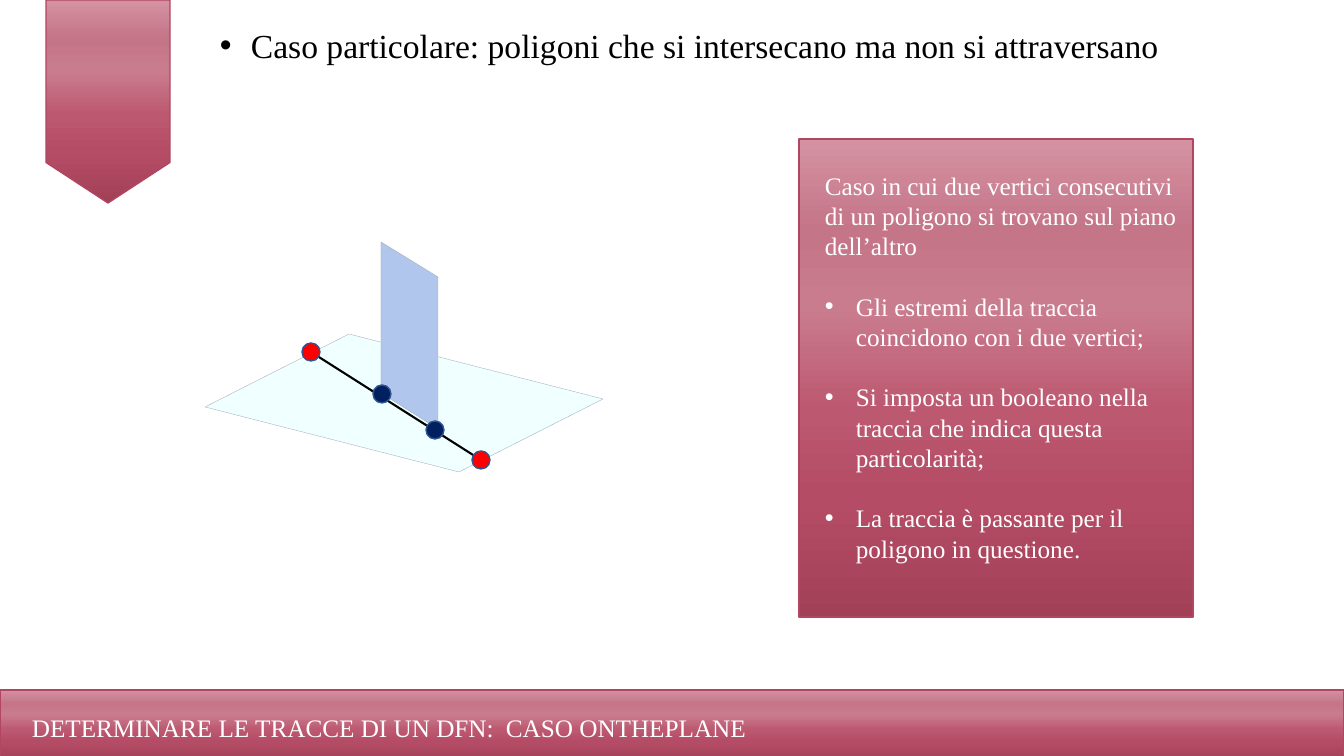
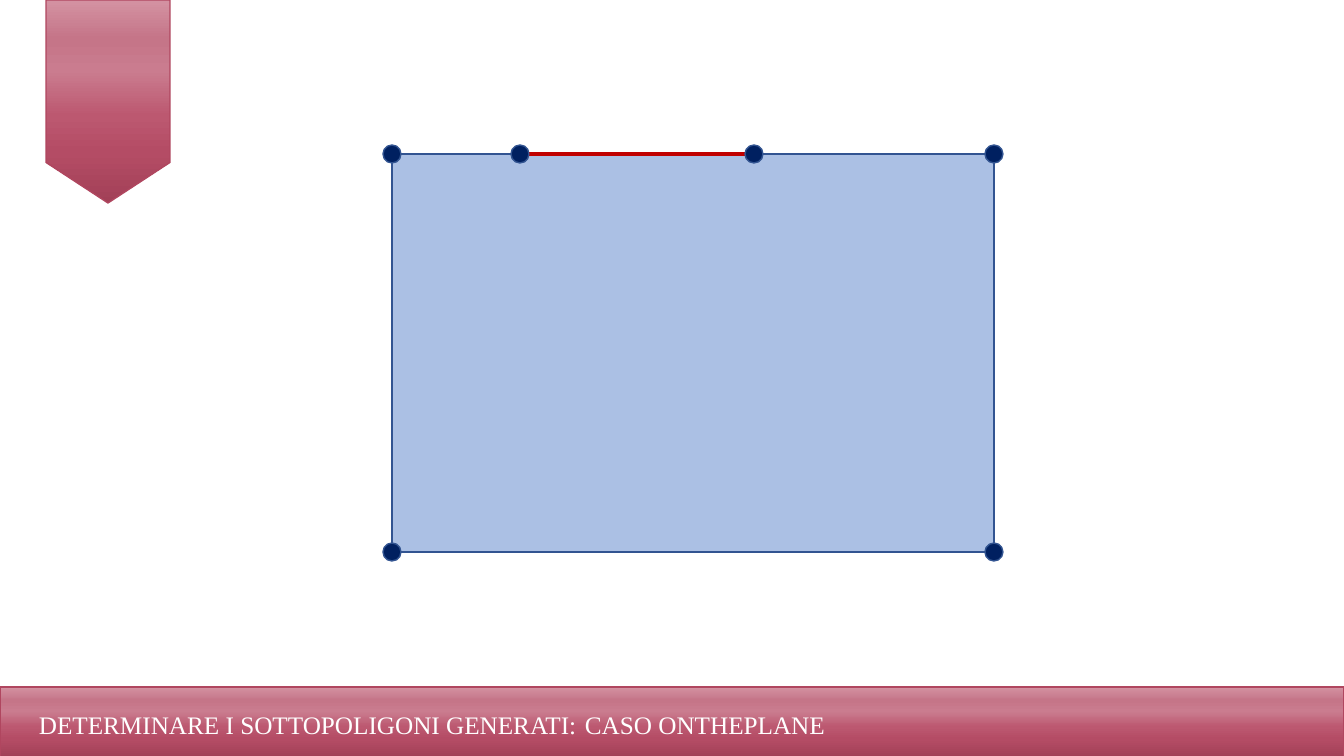
from lxml import etree
from pptx import Presentation
from pptx import util as u
from pptx.dml import color
from pptx.enum import shapes, text
from pptx.oxml import ns

PX = u.Inches(13.33333) / 1344
FONT = "Times New Roman"
WHITE, BLACK = "FFFFFF", "000000"
RED, DARK_RED, NAVY = "FF0000", "C00000", "002060"
BLUE, EDGE, ROSE = "ABC0E4", "325491", "B0465F"
PALE, WALL, HAIRLINE = "F0FFFF", "B1C6EC", "A0B0B8"
ROSE_STOPS = [(0, "A24057"), (25, "B44C65"), (43, "BC5870"),
              (65, "CA7C8F"), (81, "C57588"), (99, "D391A1")]
DOT = 18
INDENT = 31
PANEL_LINE = 21.6


def px(length):
    return u.Emu(round(length * PX))


def rgb(value):
    return color.RGBColor.from_string(value)


def set_line(item, line_color, width):
    item.line.color.rgb = rgb(line_color)
    item.line.width = u.Pt(width)


def add_preset(page, kind, left, top, width, height, line_color=EDGE):
    shape = page.shapes.add_shape(kind, px(left), px(top), px(width), px(height))
    shape.shadow.inherit = False
    set_line(shape, line_color, 1)
    return shape


def fill_solid(shape, fill_color):
    shape.fill.solid()
    shape.fill.fore_color.rgb = rgb(fill_color)


def add_rose(page, kind, left, top, width, height):
    shape = add_preset(page, kind, left, top, width, height, ROSE)
    shape.fill.gradient()
    shape.fill.gradient_angle = 90
    stops = shape.element.spPr.find(".//" + ns.qn("a:gsLst"))
    for old in list(stops):
        stops.remove(old)
    for position, value in ROSE_STOPS:
        stop = etree.SubElement(stops, ns.qn("a:gs"), pos=str(position * 1000))
        etree.SubElement(stop, ns.qn("a:srgbClr"), val=value)


def add_rectangle(page, left, top, width, height, fill_color):
    fill_solid(add_preset(page, shapes.MSO_SHAPE.RECTANGLE, left, top, width, height), fill_color)


def add_dot(page, center, fill_color):
    x, y = center
    dot = add_preset(page, shapes.MSO_SHAPE.OVAL, x - DOT // 2, y - DOT // 2, DOT, DOT)
    fill_solid(dot, fill_color)


def add_polygon(page, points, fill_color):
    corners = [(px(x), px(y)) for x, y in points]
    builder = page.shapes.build_freeform(*corners[0])
    builder.add_line_segments(corners[1:], close=True)
    polygon = builder.convert_to_shape()
    polygon.shadow.inherit = False
    fill_solid(polygon, fill_color)
    set_line(polygon, HAIRLINE, 0.25)


def add_segment(page, start, end, line_color, width):
    segment = page.shapes.add_connector(
        shapes.MSO_CONNECTOR.STRAIGHT, *map(px, start + end))
    set_line(segment, line_color, width)
    etree.SubElement(segment.element.spPr, ns.qn("a:effectLst"))


def add_bullet(para):
    properties = para._p.get_or_add_pPr()
    properties.set("marL", str(px(INDENT)))
    properties.set("indent", str(-px(INDENT)))
    etree.SubElement(properties, ns.qn("a:buFont"), typeface="Arial")
    etree.SubElement(properties, ns.qn("a:buChar"), char="•")


def add_text(page, left, top, width, height, items, size=18, text_color=WHITE, line=None):
    box = page.shapes.add_textbox(px(left), px(top), px(width), px(height))
    frame = box.text_frame
    frame.word_wrap = True
    frame.vertical_anchor = text.MSO_ANCHOR.TOP
    for index, (wording, bulleted) in enumerate(items):
        para = frame.add_paragraph() if index else frame.paragraphs[0]
        if line:
            para.line_spacing = u.Pt(line)
            para.space_before = u.Pt(line if index else 0)
        if bulleted:
            add_bullet(para)
        span = para.add_run()
        span.text = wording
        span.font.name = FONT
        span.font.size = u.Pt(size)
        span.font.color.rgb = rgb(text_color)


def add_page(deck, band_top, heading, heading_left, case_left):
    page = deck.slides.add_slide(deck.slide_layouts[6])
    add_rose(page, shapes.MSO_SHAPE.FLOWCHART_OFFPAGE_CONNECTOR, 46, 0, 124, 203)
    add_rose(page, shapes.MSO_SHAPE.RECTANGLE, 0, band_top, 1344, 70)
    for left, wording, width in ((heading_left, heading, 600),
                                 (case_left, "CASO ONTHEPLANE", 280)):
        add_text(page, left, band_top + 17, width, 40, [(wording, False)])
    return page


def add_traces_page(deck):
    page = add_page(deck, 690, "DETERMINARE LE TRACCE DI UN DFN:", 22, 496)
    add_text(page, 210, 20, 1081, 47,
             [("Caso particolare: poligoni che si intersecano ma non si attraversano", True)],
             24, BLACK)
    add_polygon(page, [(205, 407), (349, 334), (603, 399), (459, 472)], PALE)
    add_polygon(page, [(381, 242), (438, 277), (438, 429), (381, 393)], WALL)
    trace_start, trace_end = (311, 352), (481, 460)
    add_segment(page, trace_start, trace_end, BLACK, 1.5)
    for center in (trace_start, trace_end):
        add_dot(page, center, RED)
    for center in ((382, 394), (435, 430)):
        add_dot(page, center, NAVY)
    add_rose(page, shapes.MSO_SHAPE.RECTANGLE, 799, 139, 394, 478)
    add_text(page, 815, 165, 377, 407, [
        ("Caso in cui due vertici consecutivi di un poligono si trovano sul piano dell’altro", False),
        ("Gli estremi della traccia coincidono con i due vertici;", True),
        ("Si imposta un booleano nella traccia che indica questa particolarità;", True),
        ("La traccia è passante per il poligono in questione.", True),
    ], line=PANEL_LINE)


def add_subpolygons_page(deck):
    page = add_page(deck, 687, "DETERMINARE I SOTTOPOLIGONI GENERATI:", 29, 575)
    left, top, right, bottom = 392, 154, 994, 552
    add_rectangle(page, left, top, right - left, bottom - top, BLUE)
    trace_start, trace_end = (520, top), (754, top)
    add_segment(page, trace_start, trace_end, DARK_RED, 2.25)
    corners = [(x, y) for x in (left, right) for y in (top, bottom)]
    for center in corners + [trace_start, trace_end]:
        add_dot(page, center, NAVY)


def main():
    deck = Presentation()
    deck.slide_width, deck.slide_height = px(1344), px(756)
    add_traces_page(deck)
    add_subpolygons_page(deck)
    deck.save("out.pptx")


if __name__ == "__main__":
    main()
